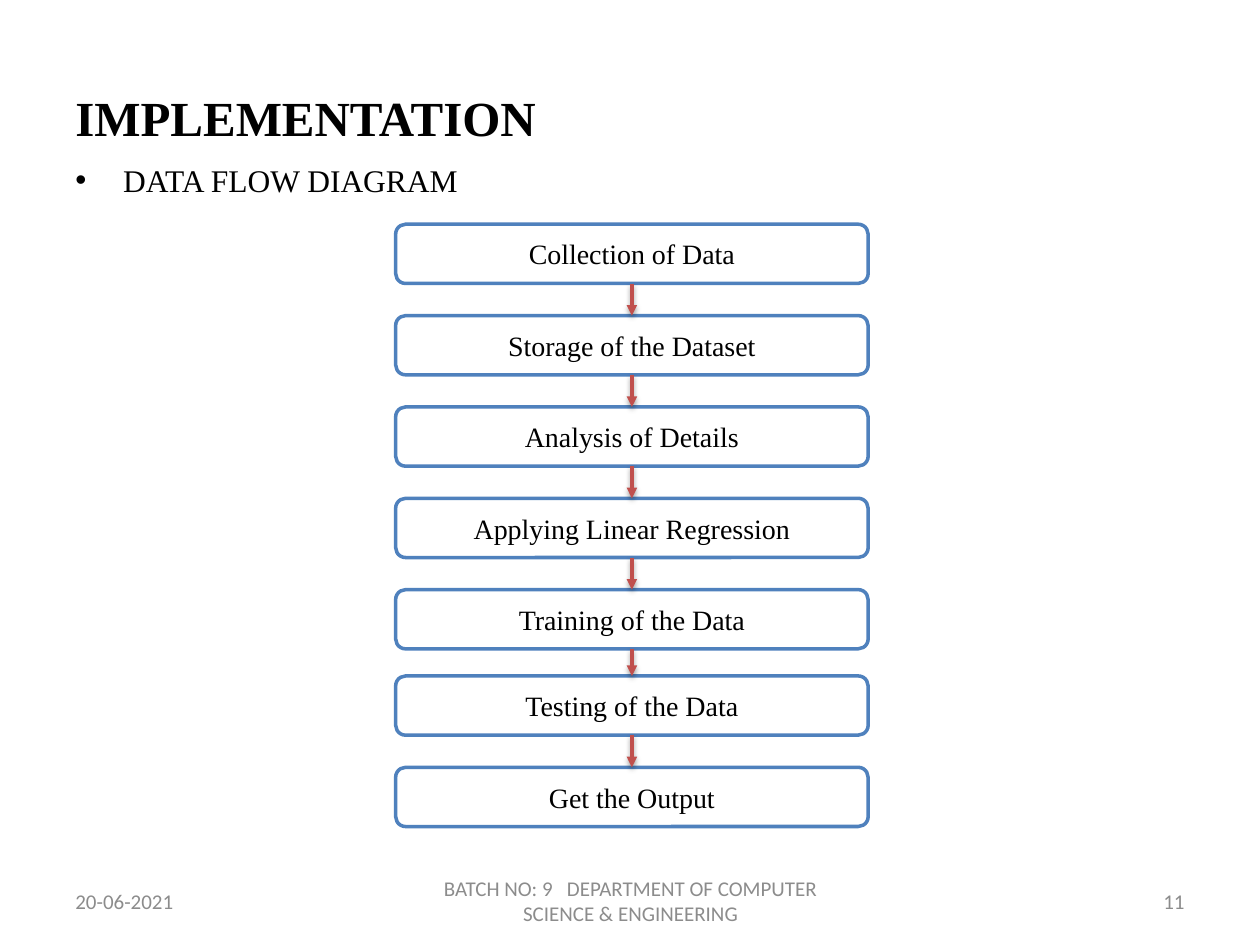
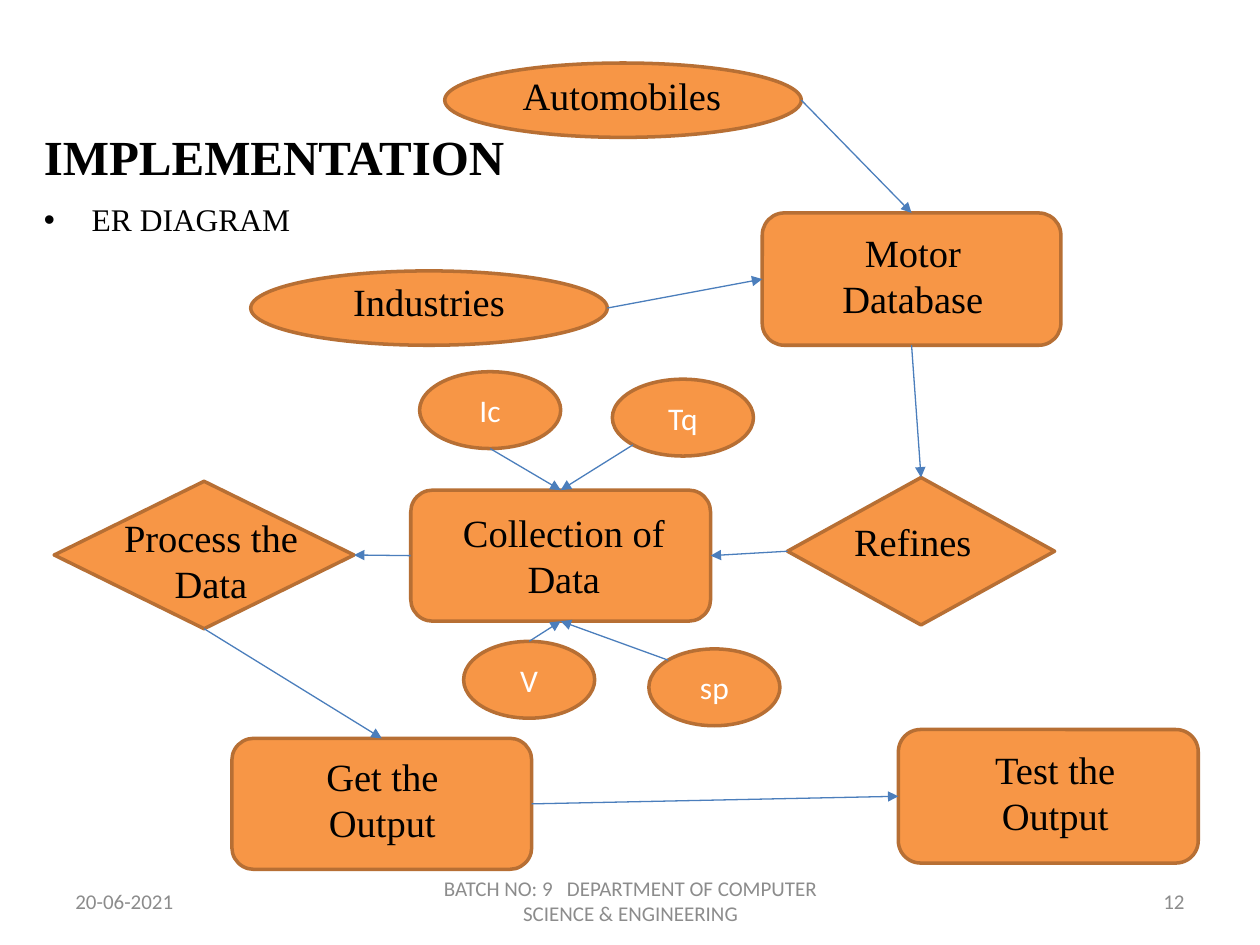
from dataclasses import dataclass
from enum import Enum
from math import sqrt
from typing import Optional

from lxml import etree
from pptx import Presentation
from pptx import util as u
from pptx.dml.color import RGBColor
from pptx.enum import shapes, text
from pptx.oxml import ns

Inches, Pt = u.Inches, u.Pt
Kind = shapes.MSO_SHAPE
Align = text.PP_ALIGN
Anchor = text.MSO_ANCHOR


@dataclass(frozen=True)
class Theme:
    serif: str = "Times New Roman"
    sans: str = "Calibri"
    black: str = "000000"
    white: str = "FFFFFF"
    footer_grey: str = "8C8C8C"
    step_border: str = "4F81BD"
    step_arrow: str = "C0504D"
    entity_fill: str = "F79646"
    entity_border: str = "B76F34"
    relation: str = "4B7EBC"
    title_pt: float = 28
    label_pt: float = 22
    body_pt: float = 18
    step_pt: float = 16
    footer_pt: float = 12
    border_pt: float = 2
    relation_pt: float = 0.75


THEME = Theme()


@dataclass(frozen=True)
class Style:
    font: str
    size: float
    color: str
    bold: bool = False
    align: Align = Align.LEFT
    anchor: Anchor = Anchor.MIDDLE


TITLE = Style(THEME.serif, THEME.title_pt, THEME.black, bold=True)
SUBTITLE = Style(THEME.serif, THEME.body_pt, THEME.black, anchor=Anchor.TOP)
STEP = Style(THEME.serif, THEME.step_pt, THEME.black, align=Align.CENTER)
LABEL = Style(THEME.serif, THEME.label_pt, THEME.black, align=Align.CENTER, anchor=Anchor.TOP)
ATTRIBUTE = Style(THEME.sans, THEME.body_pt, THEME.white, align=Align.CENTER)


@dataclass(frozen=True)
class Box:
    left: float
    top: float
    width: float
    height: float

    def lengths(self) -> list[u.Length]:
        return [Inches(n) for n in (self.left, self.top, self.width, self.height)]


@dataclass(frozen=True)
class Footer:
    box: Box
    align: Align
    words: str


FOOTERS = (
    Footer(Box(0.5, 6.95, 2.33, 0.4), Align.LEFT, "20-06-2021"),
    Footer(Box(3.42, 6.95, 3.17, 0.4), Align.CENTER,
           "BATCH NO: 9   DEPARTMENT OF COMPUTER SCIENCE & ENGINEERING"),
    Footer(Box(7.17, 6.95, 2.33, 0.4), Align.RIGHT, "{number}"),
)


class Side(Enum):
    """Offset from the centre, in halves of the width and height."""
    TOP = (0, -1)
    LEFT = (-1, 0)
    BOTTOM = (0, 1)
    RIGHT = (1, 0)
    TOP_LEFT = (-1 / sqrt(2), -1 / sqrt(2))
    BOTTOM_LEFT = (-1 / sqrt(2), 1 / sqrt(2))


SITES = {Side.TOP: 0, Side.LEFT: 1, Side.BOTTOM: 2, Side.RIGHT: 3}


@dataclass(frozen=True)
class Entity:
    kind: Kind
    box: Box
    words: str
    label_at: Optional[tuple[float, float]] = None


@dataclass(frozen=True)
class Relation:
    source: str
    leaves: Side
    target: str
    enters: Side


STEPS = ("Collection of Data", "Storage of the Dataset", "Analysis of Details",
         "Applying Linear Regression", "Training of the Data",
         "Testing of the Data", "Get the Output")
STEP_LEFT, STEP_TOP, STEP_WIDTH, STEP_HEIGHT = 3.14, 1.78, 3.75, 0.47
STEP_PITCH = 2.9 / 4
TESTING_INDEX, TESTING_LIFT = 5, 0.04

ENTITIES = {
    "output": Entity(Kind.ROUNDED_RECTANGLE, Box(1.84, 5.86, 2.38, 1.04),
                     "Get the Output", (2.12, 5.93)),
    "test": Entity(Kind.ROUNDED_RECTANGLE, Box(7.13, 5.79, 2.38, 1.06),
                   "Test the Output", (7.46, 5.87)),
    "collection": Entity(Kind.ROUNDED_RECTANGLE, Box(3.26, 3.89, 2.38, 1.04),
                         "Collection of Data", (3.56, 3.99)),
    "automobiles": Entity(Kind.OVAL, Box(3.53, 0.5, 2.83, 0.59), "Automobiles", (4.02, 0.52)),
    "industries": Entity(Kind.OVAL, Box(1.99, 2.15, 2.83, 0.59), "Industries", (2.49, 2.16)),
    "refines": Entity(Kind.DIAMOND, Box(6.25, 3.79, 2.12, 1.17), "Refines", (6.33, 4.06)),
    "database": Entity(Kind.ROUNDED_RECTANGLE, Box(6.05, 1.69, 2.37, 1.05),
                       "Motor\nDatabase", (6.33, 1.77)),
    "process": Entity(Kind.DIAMOND, Box(0.43, 3.82, 2.38, 1.17),
                      "Process the Data", (0.76, 4.03)),
    "current": Entity(Kind.OVAL, Box(3.33, 2.95, 1.12, 0.61), "Ic"),
    "voltage": Entity(Kind.OVAL, Box(3.68, 5.09, 1.04, 0.61), "V"),
    "speed": Entity(Kind.OVAL, Box(5.15, 5.15, 1.04, 0.61), "sp"),
    "torque": Entity(Kind.OVAL, Box(4.86, 3.01, 1.12, 0.61), "Tq"),
}
LABEL_WIDTH, LABEL_HEIGHT = 1.83, 0.84

RELATIONS = (
    Relation("industries", Side.RIGHT, "database", Side.LEFT),
    Relation("automobiles", Side.RIGHT, "database", Side.TOP),
    Relation("database", Side.BOTTOM, "refines", Side.TOP),
    Relation("refines", Side.LEFT, "collection", Side.RIGHT),
    Relation("collection", Side.LEFT, "process", Side.RIGHT),
    Relation("process", Side.BOTTOM, "output", Side.TOP),
    Relation("output", Side.RIGHT, "test", Side.LEFT),
    Relation("current", Side.BOTTOM, "collection", Side.TOP),
    Relation("torque", Side.BOTTOM_LEFT, "collection", Side.TOP),
    Relation("voltage", Side.TOP, "collection", Side.BOTTOM),
    Relation("speed", Side.TOP_LEFT, "collection", Side.BOTTOM),
)


def set_all(target, values: dict) -> None:
    for name, value in values.items():
        setattr(target, name, value)


def write(frame, words: str, style: Style) -> None:
    set_all(frame, {"text": words, "word_wrap": True, "vertical_anchor": style.anchor})
    for paragraph in frame.paragraphs:
        paragraph.alignment = style.align
        set_all(paragraph.font, {"name": style.font, "size": Pt(style.size),
                                 "bold": style.bold})
        paragraph.font.color.rgb = RGBColor.from_string(style.color)


def add_words(slide, box: Box, words: str, style: Style):
    frame = slide.shapes.add_textbox(*box.lengths()).text_frame
    write(frame, words, style)
    return frame


def add_outlined(slide, kind: Kind, box: Box, fill: str, border: str):
    shape = slide.shapes.add_shape(kind, *box.lengths())
    shape.shadow.inherit = False
    shape.fill.solid()
    shape.fill.fore_color.rgb = RGBColor.from_string(fill)
    shape.line.color.rgb = RGBColor.from_string(border)
    shape.line.width = Pt(THEME.border_pt)
    return shape


def add_child(parent, tag: str, **attributes: str):
    return etree.SubElement(parent, ns.qn(tag), attributes)


def side_point(shape, side: Side) -> tuple[int, int]:
    across, down = side.value
    return (round(shape.left + shape.width * (1 + across) / 2),
            round(shape.top + shape.height * (1 + down) / 2))


def add_arrow(slide, source, leaves: Side, target, enters: Side,
              color: str, width: float, shadow: bool = False) -> None:
    arrow = slide.shapes.add_connector(
        shapes.MSO_CONNECTOR.STRAIGHT, *side_point(source, leaves), *side_point(target, enters))
    for shape, side, connect in ((source, leaves, arrow.begin_connect),
                                 (target, enters, arrow.end_connect)):
        if shape.auto_shape_type != Kind.OVAL:
            connect(shape, SITES[side])
    arrow.line.color.rgb = RGBColor.from_string(color)
    arrow.line.width = Pt(width)
    add_child(arrow.line._get_or_add_ln(), "a:tailEnd", type="triangle")
    effects = add_child(arrow._element.spPr, "a:effectLst")
    if shadow:
        cast = add_child(effects, "a:outerShdw", blurRad=str(Pt(3.1)), dist=str(Pt(1.6)),
                         dir="5400000", rotWithShape="0")
        tint = add_child(cast, "a:srgbClr", val=THEME.black)
        add_child(tint, "a:alpha", val="38000")


def add_footers(slide, number: int) -> None:
    for footer in FOOTERS:
        style = Style(THEME.sans, THEME.footer_pt, THEME.footer_grey, align=footer.align)
        add_words(slide, footer.box, footer.words.format(number=number), style)


def add_heading(slide, left: float, title_top: float, subtitle: str) -> None:
    bullet = add_words(slide, Box(left, title_top + 0.94, 9, 0.4), subtitle, SUBTITLE)
    paragraph = bullet.paragraphs[0]
    paragraph.space_before = Pt(THEME.body_pt * 0.2)
    properties = paragraph._p.get_or_add_pPr()
    properties.set("marL", str(Inches(0.38)))
    properties.set("indent", str(Inches(-0.38)))
    mark = properties.makeelement(ns.qn("a:buChar"), {"char": "•"})
    properties.find(ns.qn("a:spcBef")).addnext(mark)
    mark.addprevious(properties.makeelement(ns.qn("a:buFont"), {"typeface": "Arial"}))
    add_words(slide, Box(left, title_top, 9, 1.27), "IMPLEMENTATION", TITLE)


def draw_data_flow(slide) -> None:
    steps = []
    for index, words in enumerate(STEPS):
        lift = TESTING_LIFT if index >= TESTING_INDEX else 0
        box = Box(STEP_LEFT, STEP_TOP + index * STEP_PITCH - lift, STEP_WIDTH, STEP_HEIGHT)
        step = add_outlined(slide, Kind.ROUNDED_RECTANGLE, box, THEME.white, THEME.step_border)
        write(step.text_frame, words, STEP)
        steps.append(step)
    for upper, lower in zip(steps, steps[1:]):
        add_arrow(slide, upper, Side.BOTTOM, lower, Side.TOP,
                  THEME.step_arrow, THEME.border_pt, shadow=True)
    add_heading(slide, 0.5, 0.29, "DATA FLOW DIAGRAM")


def draw_entities(slide) -> None:
    drawn = {}
    for key, entity in ENTITIES.items():
        drawn[key] = add_outlined(slide, entity.kind, entity.box,
                                  THEME.entity_fill, THEME.entity_border)
        if entity.label_at:
            add_words(slide, Box(*entity.label_at, LABEL_WIDTH, LABEL_HEIGHT),
                      entity.words, LABEL)
        else:
            write(drawn[key].text_frame, entity.words, ATTRIBUTE)
    for relation in RELATIONS:
        add_arrow(slide, drawn[relation.source], relation.leaves,
                  drawn[relation.target], relation.enters,
                  THEME.relation, THEME.relation_pt)
    add_heading(slide, 0.25, 0.6, "ER DIAGRAM")


def main() -> None:
    deck = Presentation()
    set_all(deck, {"slide_width": Inches(10), "slide_height": Inches(7.5)})
    for number, draw in enumerate((draw_data_flow, draw_entities), start=11):
        slide = deck.slides.add_slide(deck.slide_layouts[6])
        add_footers(slide, number)
        draw(slide)
    deck.save("out.pptx")


if __name__ == "__main__":
    main()
